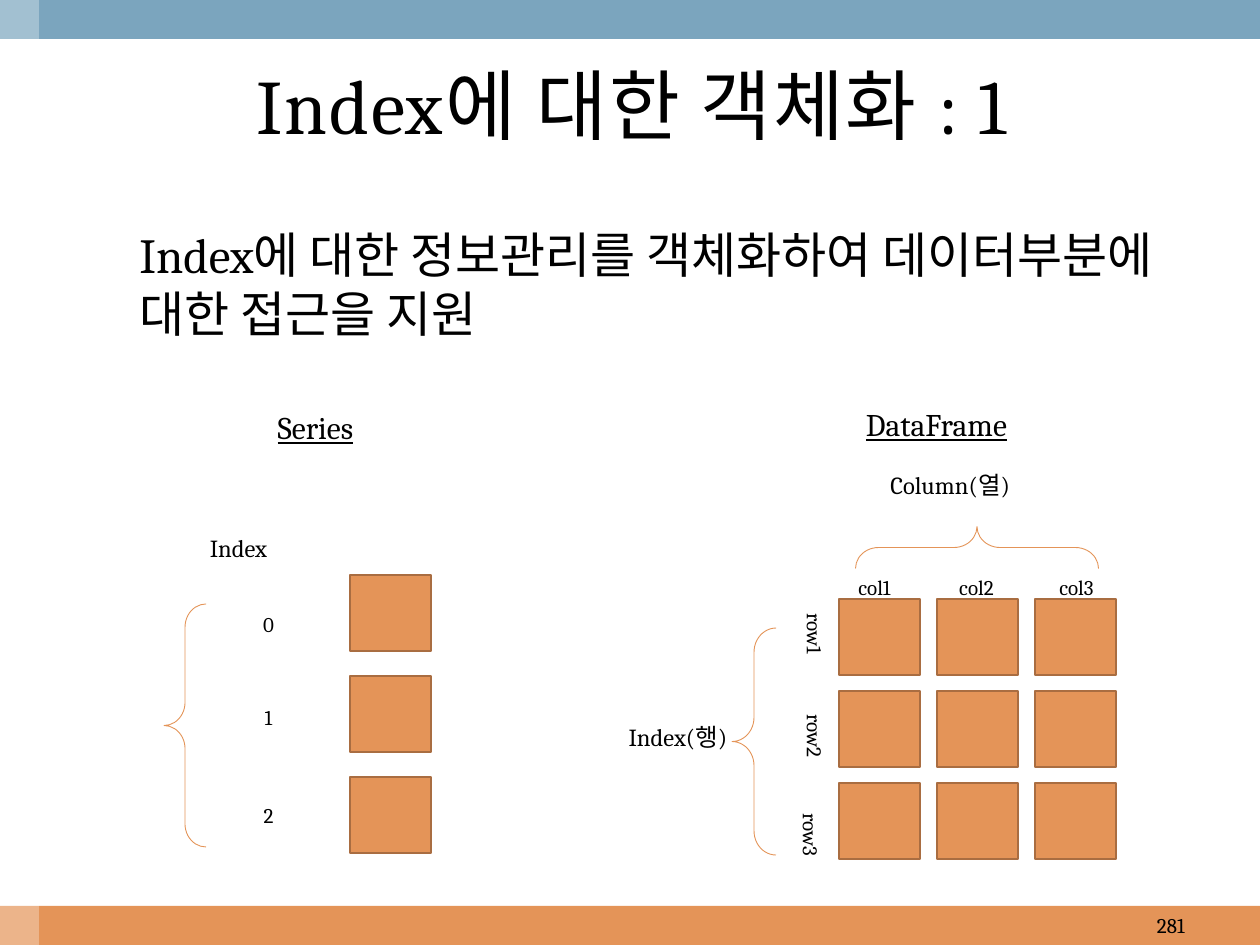
import dataclasses
import typing

import pptx
import pptx.dml.color
import pptx.enum.shapes
import pptx.enum.text
import pptx.oxml
import pptx.oxml.ns
import pptx.util

Align = pptx.enum.text.PP_ALIGN
Anchor = pptx.enum.text.MSO_ANCHOR
Preset = pptx.enum.shapes.MSO_SHAPE


@dataclasses.dataclass(frozen=True)
class Theme:
    font: str = "Cambria"
    ink: str = "000000"
    orange: str = "E49458"
    edge: str = "A96D41"
    blue: str = "7BA5BE"
    white: str = "FFFFFF"
    title: int = 44
    body: int = 28
    heading: int = 18
    caption: int = 14
    label: int = 12


class Area(typing.NamedTuple):
    left: int
    top: int
    width: int
    height: int


@dataclasses.dataclass(frozen=True)
class Label:
    text: str
    area: Area
    size: int
    align: Align = Align.CENTER
    underline: bool = False
    vertical: bool = False


@dataclasses.dataclass(frozen=True)
class Brace:
    area: Area
    rotation: int


@dataclasses.dataclass(frozen=True)
class CellGrid:
    left: int
    top: int
    columns: int
    rows: int
    step_x: int
    step_y: int


THEME = Theme()
PX_PER_INCH = 126
CELL_WIDTH, CELL_HEIGHT = 81, 76

GRIDS = [
    CellGrid(350, 575, 1, 3, 0, 101),
    CellGrid(839, 599, 3, 3, 98, 92),
]
BRACES = [
    Brace(Area(164, 604, 42, 243), 180),
    Brace(Area(732, 628, 44, 227), 180),
    Brace(Area(956, 426, 42, 243), 270),
]
LABELS = [
    Label("Series", Area(121, 402, 389, 50), THEME.heading, underline=True),
    Label("DataFrame", Area(742, 399, 389, 50), THEME.heading, underline=True),
    Label("Index", Area(158, 527, 161, 43), THEME.caption),
    Label("Index(행)", Area(578, 716, 200, 43), THEME.caption),
    Label("Column(열)", Area(878, 464, 239, 43), THEME.caption, Align.LEFT),
    *(Label(str(number), Area(224, top, 89, 38), THEME.label)
      for number, top in enumerate((605, 698, 796))),
    *(Label(f"col{number}", Area(left, 568, 89, 33), THEME.label)
      for number, left in enumerate((830, 932, 1032), 1)),
    *(Label(f"row{number}", Area(left, top, 45, 54), THEME.label, Align.LEFT, vertical=True)
      for number, (left, top) in enumerate(((789, 601), (789, 702), (785, 801)), 1)),
]


def px(length: int) -> pptx.util.Emu:
    return pptx.util.Emu(round(length * 914400 / PX_PER_INCH))


def color(value: str) -> pptx.dml.color.RGBColor:
    return pptx.dml.color.RGBColor.from_string(value)


def write(shape, text: str, size: int, align: Align, underline: bool = False) -> None:
    shape.text_frame.text = text
    para = shape.text_frame.paragraphs[0]
    para.alignment = align
    for span in para.runs:
        span.font.name = THEME.font
        span.font.size = pptx.util.Pt(size)
        span.font.color.rgb = color(THEME.ink)
        if underline:
            span.font.underline = True


def add_text_box(page, area: Area):
    box = page.shapes.add_textbox(*map(px, area))
    box.text_frame.word_wrap = True
    return box


def add_rectangle(page, area: Area, fill: str, edge: typing.Optional[str] = None):
    shape = page.shapes.add_shape(Preset.RECTANGLE, *map(px, area))
    shape.shadow.inherit = False
    shape.fill.solid()
    shape.fill.fore_color.rgb = color(fill)
    if edge:
        shape.line.color.rgb = color(edge)
        shape.line.width = pptx.util.Pt(1.25)
    else:
        shape.line.fill.background()
    return shape


def add_bars(page) -> None:
    add_rectangle(page, Area(0, 906, 1260, 39), THEME.orange)
    add_rectangle(page, Area(0, 0, 1260, 39), THEME.blue)
    veil = add_rectangle(page, Area(0, 0, 39, 945), THEME.white)
    tint = veil.fill._xPr.find(".//" + pptx.oxml.ns.qn("a:srgbClr"))
    tint.append(pptx.oxml.parse_xml(
        f'<a:alpha {pptx.oxml.ns.nsdecls("a")} val="30000"/>'))


def add_title(page, text: str) -> None:
    title = page.shapes.title
    title.left, title.top, title.width, title.height = map(px, (42, 39, 1179, 130))
    title.text_frame.vertical_anchor = Anchor.MIDDLE
    write(title, text, THEME.title, Align.CENTER)
    for span in title.text_frame.paragraphs[0].runs:
        span.font._element.set("spc", "100")


def add_body(page, text: str) -> None:
    box = add_text_box(page, Area(64, 218, 1134, 126))
    write(box, text, THEME.body, Align.LEFT)
    properties = box.text_frame.paragraphs[0]._p.get_or_add_pPr()
    properties.set("marL", str(px(63)))
    properties.set("indent", "0")


def add_page_number(page, text: str) -> None:
    box = add_text_box(page, Area(903, 906, 294, 39))
    box.text_frame.vertical_anchor = Anchor.MIDDLE
    write(box, text, THEME.label, Align.RIGHT)


def add_grid(page, grid: CellGrid) -> None:
    for row in range(grid.rows):
        for column in range(grid.columns):
            area = Area(grid.left + column * grid.step_x, grid.top + row * grid.step_y,
                        CELL_WIDTH, CELL_HEIGHT)
            add_rectangle(page, area, THEME.orange, THEME.edge)


def add_brace(page, brace: Brace) -> None:
    shape = page.shapes.add_shape(Preset.RIGHT_BRACE, *map(px, brace.area))
    shape.shadow.inherit = False
    shape.rotation = brace.rotation
    shape.adjustments[0] = 0.55
    shape.adjustments[1] = 0.5
    shape.fill.background()
    shape.line.color.rgb = color(THEME.orange)
    shape.line.width = pptx.util.Pt(0.5)


def add_label(page, label: Label) -> None:
    box = add_text_box(page, label.area)
    box.text_frame.auto_size = pptx.enum.text.MSO_AUTO_SIZE.SHAPE_TO_FIT_TEXT
    if label.vertical:
        box.text_frame.word_wrap = False
        box.text_frame._txBody.bodyPr.set("vert", "eaVert")
    write(box, label.text, label.size, label.align, label.underline)


def main() -> None:
    deck = pptx.Presentation()
    deck.slide_width, deck.slide_height = px(1260), px(945)
    page = deck.slides.add_slide(deck.slide_layouts[5])
    add_bars(page)
    add_title(page, "Index에 대한 객체화 : 1")
    add_body(page, "Index에 대한 정보관리를 객체화하여 데이터부분에 대한 접근을 지원")
    add_page_number(page, "281")
    for grid in GRIDS:
        add_grid(page, grid)
    for brace in BRACES:
        add_brace(page, brace)
    for label in LABELS:
        add_label(page, label)
    deck.save("out.pptx")


if __name__ == "__main__":
    main()
